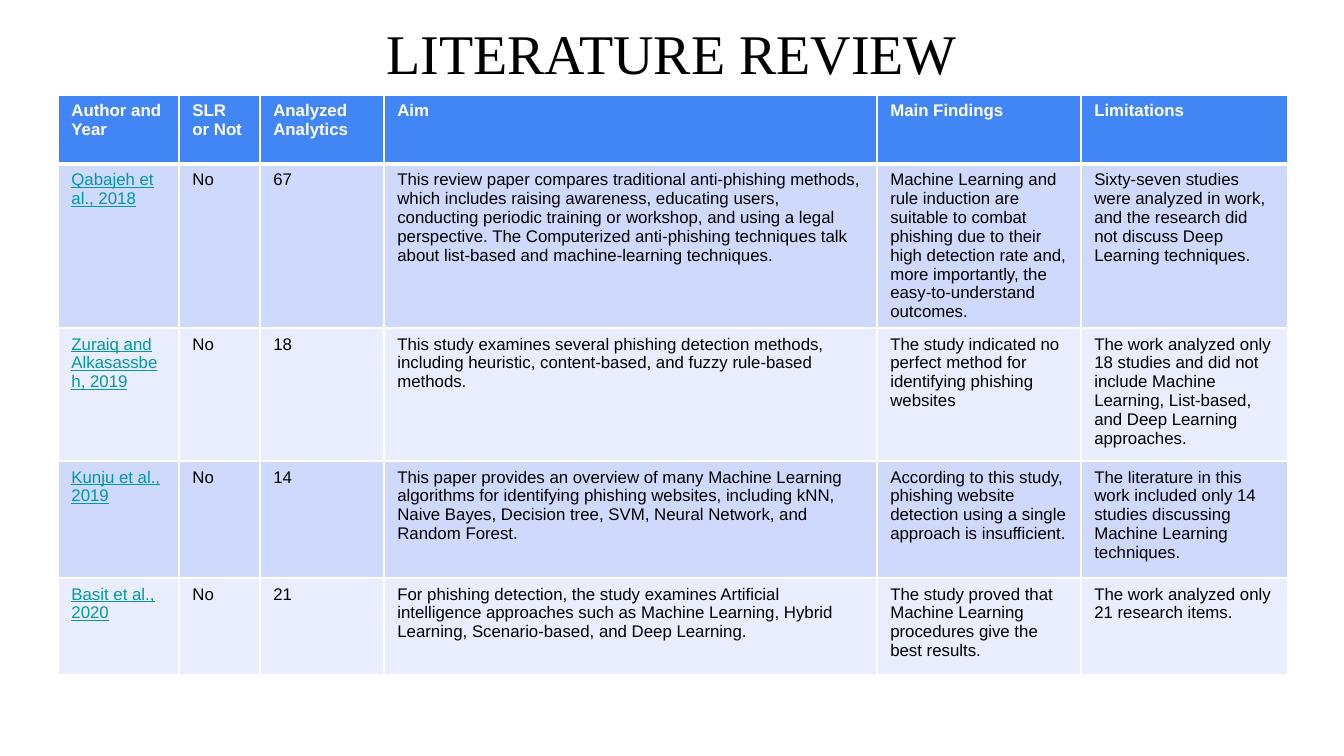
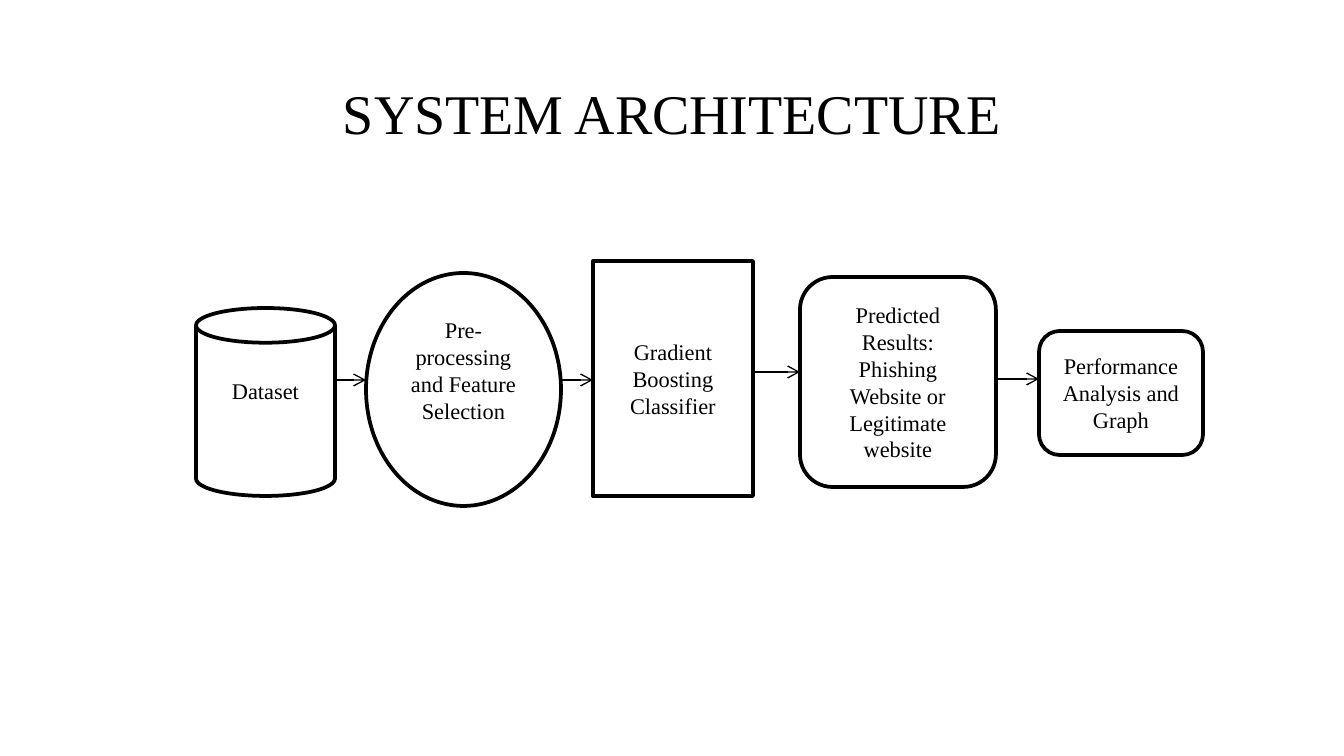
from itertools import pairwise

from lxml import etree
from pptx import Presentation
from pptx.dml.color import RGBColor
from pptx.enum.shapes import MSO_CONNECTOR, MSO_SHAPE
from pptx.enum.text import MSO_ANCHOR, PP_ALIGN
from pptx.oxml.ns import qn
from pptx.util import Emu, Pt

PX = 914400 / 134.4
STRAIGHT = MSO_CONNECTOR.STRAIGHT
CAN, OVAL = MSO_SHAPE.CAN, MSO_SHAPE.OVAL
PROCESS, ROUNDED = MSO_SHAPE.FLOWCHART_PROCESS, MSO_SHAPE.ROUNDED_RECTANGLE
CENTER, LEFT = PP_ALIGN.CENTER, PP_ALIGN.LEFT
TOP, MIDDLE = MSO_ANCHOR.TOP, MSO_ANCHOR.MIDDLE

BLACK, WHITE = "000000", "FFFFFF"
HEADER_FILL, LINK = "4285F4", "0097A7"
BAND_FILLS = ["CFD9FB", "E9EDFD"]
SERIF, SANS = "Times New Roman", "Arial"
TITLE_FONT = {"name": SERIF, "size": Pt(30), "bold": False}
STEP_FONT = {"name": SERIF, "size": Pt(12)}
CELL_FONT = {"name": SANS, "size": Pt(9), "bold": False}
HEADER_FONT = CELL_FONT | {"bold": True}
LINK_FONT = CELL_FONT | {"underline": True}

COLUMNS = [121, 81, 124, 493, 204, 207]
ROWS = [69, 157, 133, 117, 97]
STUDIES = [
    ["Author and Year", "SLR or Not", "Analyzed Analytics", "Aim",
     "Main Findings", "Limitations"],
    ["Qabajeh et al., 2018", "No", "67",
     "This review paper compares traditional anti-phishing methods, which "
     "includes raising awareness, educating users, conducting periodic "
     "training or workshop, and using a legal perspective. The Computerized "
     "anti-phishing techniques talk about list-based and machine-learning "
     "techniques.",
     "Machine Learning and rule induction are suitable to combat phishing due "
     "to their high detection rate and, more importantly, the "
     "easy-to-understand outcomes.",
     "Sixty-seven studies were analyzed in work, and the research did not "
     "discuss Deep Learning techniques."],
    ["Zuraiq and Alkasassbeh, 2019", "No", "18",
     "This study examines several phishing detection methods, including "
     "heuristic, content-based, and fuzzy rule-based methods.",
     "The study indicated no perfect method for identifying phishing websites",
     "The work analyzed only 18 studies and did not include Machine Learning, "
     "List-based, and Deep Learning approaches."],
    ["Kunju et al., 2019", "No", "14",
     "This paper provides an overview of many Machine Learning algorithms for "
     "identifying phishing websites, including kNN, Naive Bayes, Decision "
     "tree, SVM, Neural Network, and Random Forest.",
     "According to this study, phishing website detection using a single "
     "approach is insufficient.",
     "The literature in this work included only 14 studies discussing Machine "
     "Learning techniques."],
    ["Basit et al., 2020", "No", "21",
     "For phishing detection, the study examines Artificial intelligence "
     "approaches such as Machine Learning, Hybrid Learning, Scenario-based, "
     "and Deep Learning.",
     "The study proved that Machine Learning procedures give the best results.",
     "The work analyzed only 21 research items."],
]

STEPS = [
    (CAN, (196, 308, 139, 188), "Dataset", None, 46),
    (OVAL, (366, 273, 195, 233), "Pre-processing and Feature Selection", WHITE, 46),
    (PROCESS, (593, 261, 160, 235), "Gradient Boosting Classifier", WHITE, 7),
    (ROUNDED, (800, 277, 196, 210),
     "Predicted Results: Phishing Website or Legitimate website", WHITE, 7),
    (ROUNDED, (1039, 331, 164, 124), "Performance Analysis and Graph", WHITE, 7),
]
ARROW_HEIGHTS = [380, 380, 372, 379]


def px(n):
    return Emu(round(n * PX))


def rgb(value):
    return RGBColor.from_string(value)


def assign(target, values):
    for name, value in values.items():
        setattr(target, name, value)


def write(tf, text, font, color, align):
    tf.word_wrap = True
    p = tf.paragraphs[0]
    p.alignment = align
    r = p.add_run()
    r.text = text
    assign(r.font, font)
    r.font.color.rgb = rgb(color)


def add_slide(prs, title, box, pad):
    s = prs.slides.add_slide(prs.slide_layouts[5])
    sp = s.shapes.title
    assign(sp, dict(zip(("left", "top", "width", "height"), map(px, box))))
    assign(sp.text_frame, {
        "vertical_anchor": TOP, "margin_top": px(pad), "margin_bottom": px(pad),
    })
    write(sp.text_frame, title, TITLE_FONT, BLACK, CENTER)
    return s


def add_border(cell, side, width):
    ln = etree.SubElement(cell._tc.get_or_add_tcPr(), qn(f"a:ln{side}"), w=str(Pt(width)))
    fill = etree.SubElement(ln, qn("a:solidFill"))
    etree.SubElement(fill, qn("a:srgbClr"), val=WHITE)


def style_cell(cell, text, row, column):
    header = row == 0
    for side in "LRTB":
        under_header = (row, side) in ((0, "B"), (1, "T"))
        add_border(cell, side, 3 if under_header else 1)
    cell.fill.solid()
    cell.fill.fore_color.rgb = rgb(HEADER_FILL if header else BAND_FILLS[(row - 1) % 2])
    if header:
        font, color = HEADER_FONT, WHITE
    elif column == 0:
        font, color = LINK_FONT, LINK
    else:
        font, color = CELL_FONT, BLACK
    write(cell.text_frame, text, font, color, LEFT)


def add_study_table(s, left, top):
    frame = s.shapes.add_table(len(ROWS), len(COLUMNS), px(left), px(top),
                               px(sum(COLUMNS)), px(sum(ROWS)))
    table = frame.table
    for column, width in zip(table.columns, COLUMNS):
        column.width = px(width)
    for row, height in zip(table.rows, ROWS):
        row.height = px(height)
    for i, study in enumerate(STUDIES):
        for j, text in enumerate(study):
            style_cell(table.cell(i, j), text, i, j)


def add_step(s, kind, box, text, fill, pad_bottom):
    sp = s.shapes.add_shape(kind, *map(px, box))
    sp.shadow.inherit = False
    if fill:
        sp.fill.solid()
        sp.fill.fore_color.rgb = rgb(fill)
    else:
        sp.fill.background()
    sp.line.color.rgb = rgb(BLACK)
    sp.line.width = Pt(2)
    assign(sp.text_frame, {"vertical_anchor": MIDDLE, "margin_bottom": px(pad_bottom)})
    write(sp.text_frame, text, STEP_FONT, BLACK, CENTER)


def add_arrow(s, start, end, y):
    line = s.shapes.add_connector(STRAIGHT, px(start), px(y), px(end), px(y))
    line.line.color.rgb = rgb(BLACK)
    line.line.width = Pt(0.75)
    etree.SubElement(line.line._get_or_add_ln(), qn("a:tailEnd"), type="arrow")
    etree.SubElement(line._element.spPr, qn("a:effectLst"))


def main():
    prs = Presentation()
    prs.slide_width, prs.slide_height = px(1344), px(756)

    review = add_slide(prs, "LITERATURE REVIEW", (367, 12, 610, 82), 7)
    add_study_table(review, 58, 95)

    architecture = add_slide(prs, "SYSTEM ARCHITECTURE", (46, 66, 1252, 85), 13)
    for step in STEPS:
        add_step(architecture, *step)
    boxes = [step[1] for step in STEPS]
    for (before, after), y in zip(pairwise(boxes), ARROW_HEIGHTS):
        add_arrow(architecture, before[0] + before[2], after[0], y)

    prs.save("out.pptx")


if __name__ == "__main__":
    main()
